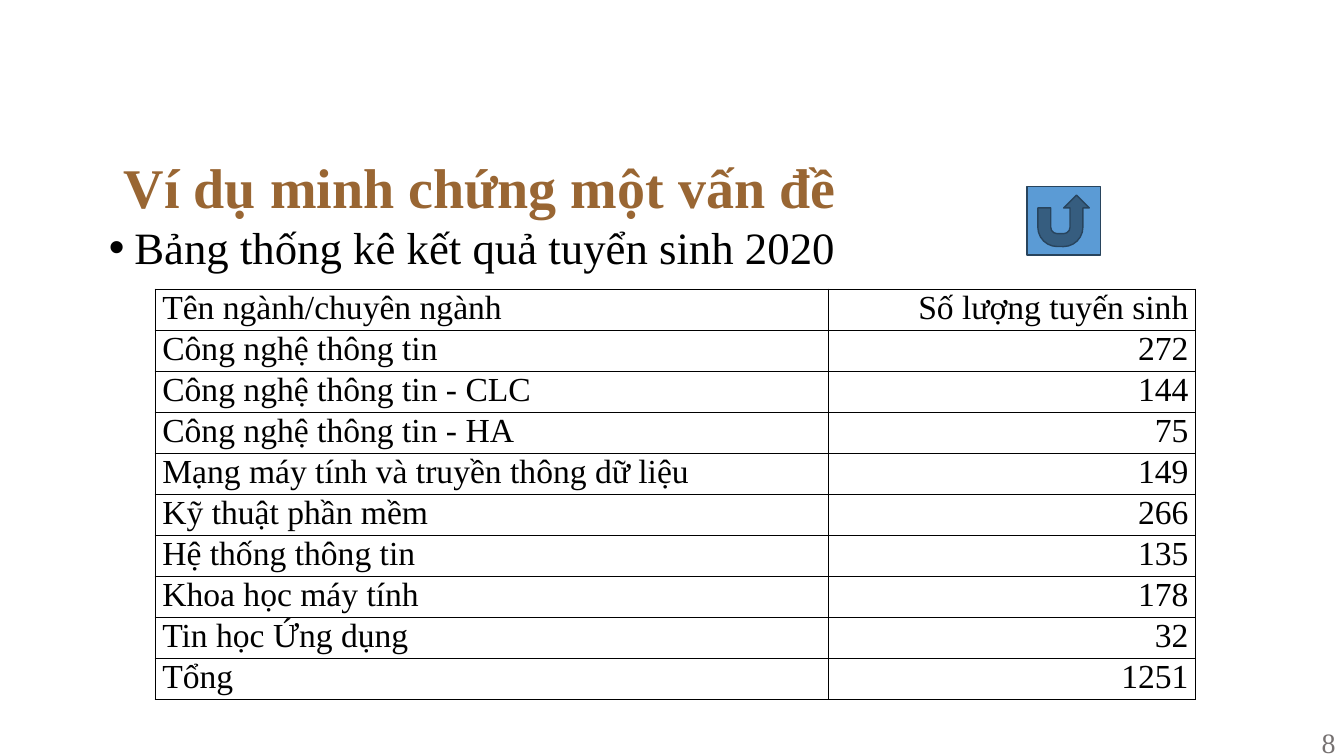
from lxml import etree
from pptx import Presentation
from pptx.dml.color import RGBColor
from pptx.enum.shapes import MSO_SHAPE
from pptx.enum.text import MSO_ANCHOR, MSO_AUTO_SIZE, PP_ALIGN
from pptx.oxml import parse_xml
from pptx.oxml.ns import nsdecls, qn
from pptx.util import Cm, Pt

RETURN = MSO_SHAPE.ACTION_BUTTON_RETURN
TOP, MIDDLE = MSO_ANCHOR.TOP, MSO_ANCHOR.MIDDLE
LEFT, RIGHT = PP_ALIGN.LEFT, PP_ALIGN.RIGHT
FIXED = MSO_AUTO_SIZE.NONE
FONT = "Times New Roman"

HEAD = ("Tên ngành/chuyên ngành", "Số lượng tuyến sinh")
MAJORS = [
    ("Công nghệ thông tin", 272),
    ("Công nghệ thông tin - CLC", 144),
    ("Công nghệ thông tin - HA", 75),
    ("Mạng máy tính và truyền thông dữ liệu", 149),
    ("Kỹ thuật phần mềm", 266),
    ("Hệ thống thông tin", 135),
    ("Khoa học máy tính", 178),
    ("Tin học Ứng dụng", 32),
]


def color(code):
    return RGBColor.from_string(code)


def apply(item, form):
    for name, value in form.items():
        setattr(item, name, value)


def place(shape, left, top, width, height):
    apply(shape, {"left": Cm(left), "top": Cm(top),
                  "width": Cm(width), "height": Cm(height)})


def write(frame, text, size, code, bold=False, **form):
    para = frame.paragraphs[0]
    apply(para, form)
    run = para.add_run()
    run.text = text
    apply(run.font, {"name": FONT, "size": Pt(size), "bold": bold})
    run.font.color.rgb = color(code)
    return para


def set_frame(frame, anchor):
    apply(frame, {"word_wrap": True, "auto_size": FIXED,
                  "vertical_anchor": anchor})


def add_title(slide, text):
    title = slide.shapes.title
    place(title, 2.87, 2.95, 29.21, 3.68)
    set_frame(title.text_frame, MIDDLE)
    write(title.text_frame, text, 40, "996633", True,
          alignment=LEFT, line_spacing=0.9)


def add_list(slide, text):
    body = slide.placeholders[1]
    place(body, 2.49, 5.56, 29.06, 1.93)
    set_frame(body.text_frame, TOP)
    para = write(body.text_frame, text, 32, "000000",
                 line_spacing=0.9, space_before=Pt(10))
    props = para._p.get_or_add_pPr()
    props.set("marL", str(Cm(0.64)))
    props.set("indent", str(Cm(-0.64)))
    etree.SubElement(props, qn("a:buFont")).set("typeface", "Arial")
    etree.SubElement(props, qn("a:buChar")).set("char", "•")


def add_number(slide, text):
    box = slide.shapes.add_textbox(Cm(26.29), Cm(18.19), Cm(7.62), Cm(1.02))
    set_frame(box.text_frame, MIDDLE)
    write(box.text_frame, text, 20, "767171", alignment=RIGHT)


def add_borders(cell, code):
    props = cell._tc.get_or_add_tcPr()
    for side in "LRTB":
        props.append(parse_xml(
            f'<a:ln{side} {nsdecls("a")} w="{Pt(1)}"><a:solidFill>'
            f'<a:srgbClr val="{code}"/></a:solidFill></a:ln{side}>'))


def fill_cell(cell, text, align):
    apply(cell, {"margin_left": Cm(0.18), "margin_right": Cm(0.18),
                 "margin_top": 0, "margin_bottom": 0})
    add_borders(cell, "000000")
    cell.fill.solid()
    cell.fill.fore_color.rgb = color("FFFFFF")
    write(cell.text_frame, text, 24, "000000", alignment=align)


def add_grid(slide, rows):
    widths, height = (16.97, 9.25), 1.034
    table = slide.shapes.add_table(
        len(rows), len(widths), Cm(3.91), Cm(7.29),
        Cm(sum(widths)), Cm(height * len(rows))).table
    apply(table, {"first_row": False, "horz_banding": False})
    for column, width in zip(table.columns, widths):
        column.width = Cm(width)
    for line, row in zip(table.rows, rows):
        line.height = Cm(height)
        for cell, value, align in zip(line.cells, row, (LEFT, RIGHT)):
            fill_cell(cell, str(value), align)


def add_button(slide):
    button = slide.shapes.add_shape(
        RETURN, Cm(25.88), Cm(4.7), Cm(1.85), Cm(1.73))
    button.shadow.inherit = False
    button.fill.solid()
    button.fill.fore_color.rgb = color("5B9BD5")
    button.line.color.rgb = color("28445D")
    button.line.width = Pt(1)


def main():
    deck = Presentation()
    apply(deck, {"slide_width": Cm(33.87), "slide_height": Cm(19.05)})
    slide = deck.slides.add_slide(deck.slide_layouts[1])
    total = sum(count for _, count in MAJORS)
    add_title(slide, "Ví dụ minh chứng một vấn đề")
    add_list(slide, "Bảng thống kê kết quả tuyển sinh 2020")
    add_number(slide, "8")
    add_grid(slide, [HEAD, *MAJORS, ("Tổng", total)])
    add_button(slide)
    deck.save("out.pptx")


if __name__ == "__main__":
    main()
